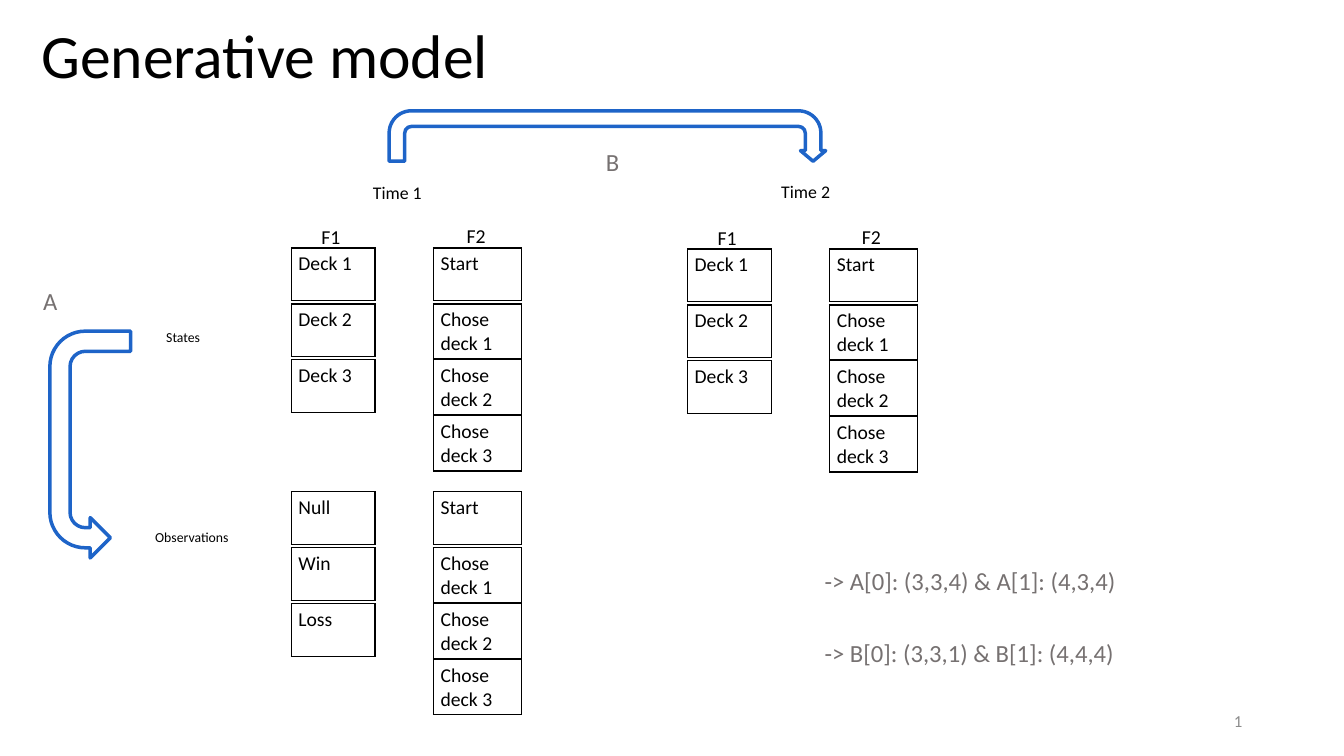
from lxml import etree
from pptx import Presentation
from pptx.dml.color import RGBColor
from pptx.enum import shapes, text
from pptx.oxml import ns
from pptx.util import Inches, Pt

BLACK, GREY, LIGHT, BLUE = "000000", "767171", "8C8C8C", "1E64C8"
DECKS = ["Deck 1", "Deck 2", "Deck 3"]
OUTCOMES = ["Null", "Win", "Loss"]
CHOICES = ["Start", "Chose deck 1", "Chose deck 2", "Chose deck 3"]

# Stacks of boxes: left, top, width, entries
STACKS = [
    (2.89, 2.46, 0.83, DECKS), (4.3, 2.46, 0.87, CHOICES),
    (2.89, 4.88, 0.83, OUTCOMES), (4.3, 4.88, 0.87, CHOICES),
    (6.82, 2.47, 0.83, DECKS), (8.23, 2.47, 0.87, CHOICES),
]
ROW_STEP, ROW_HEIGHT = 0.555, 0.52

# Labels: lines, (left, top, width, height), size, colour
LABELS = [
    (["Observations"], (1.44, 5.16, 1.03, 0.29), 9.8, BLACK),
    (["States"], (1.55, 3.18, 0.92, 0.29), 9.8, BLACK),
    (["Time 1"], (3.6, 1.71, 0.79, 0.34), 12.7, BLACK),
    (["Time 2"], (7.65, 1.7, 0.79, 0.34), 12.7, BLACK),
    (["F1"], (3.09, 2.13, 0.42, 0.37), 14.1, BLACK),
    (["F2"], (4.53, 2.12, 0.42, 0.37), 14.1, BLACK),
    (["F1"], (7.02, 2.14, 0.42, 0.37), 14.1, BLACK),
    (["F2"], (8.45, 2.13, 0.42, 0.37), 14.1, BLACK),
    (["B"], (5.91, 1.35, 0.72, 0.43), 17.6, GREY),
    (["A"], (0.33, 2.73, 0.65, 0.43), 17.6, GREY),
    (["-> A[0]: (3,3,4) & A[1]: (4,3,4)", "-> B[0]: (3,3,1) & B[1]: (4,4,4)"],
     (8.08, 5.51, 3.54, 1.14), 17.6, GREY),
]

# Arrows: (left, top, width, height), rotation, mirrored, adjustments
ARROWS = [
    ((-0.23, 4.01, 2.25, 0.8), 270, True, [0.25, 0.25, 0.25, 0.44, 0.75]),
    ((3.86, 1.1, 4.33, 0.5), 0, False, [0.31, 0.25, 0.21, 0.44, 1]),
]


def rgb(colour):
    return RGBColor.from_string(colour)


def inches(box):
    return [Inches(v) for v in box]


def write(tf, lines, size=14, colour=BLACK, align=text.PP_ALIGN.LEFT,
          anchor=text.MSO_ANCHOR.TOP, spacing=1.0, gap=0):
    tf.word_wrap = True
    tf.vertical_anchor = anchor
    for i, line in enumerate(lines):
        p = tf.paragraphs[0] if i == 0 else tf.add_paragraph()
        p.alignment, p.line_spacing = align, spacing
        p.space_before = Pt(gap if i else 0)
        r = p.add_run()
        r.text = line
        r.font.name, r.font.size = "Calibri", Pt(size)
        r.font.color.rgb = rgb(colour)


def add_border(cell):
    tc_pr = cell._tc.get_or_add_tcPr()
    for side in ("lnL", "lnR", "lnT", "lnB"):
        ln = etree.SubElement(tc_pr, ns.qn(f"a:{side}"), w=str(Pt(1)))
        fill = etree.SubElement(ln, ns.qn("a:solidFill"))
        etree.SubElement(fill, ns.qn("a:srgbClr"), val=BLACK)


def add_box(s, entry, box):
    table = s.shapes.add_table(1, 1, *inches(box)).table
    table.first_row = table.horz_banding = False
    cell = table.cell(0, 0)
    cell.margin_left = cell.margin_right = Inches(0.07)
    cell.margin_top = cell.margin_bottom = Inches(0.04)
    add_border(cell)
    cell.fill.background()
    write(cell.text_frame, [entry])


prs = Presentation()
prs.slide_width, prs.slide_height = Inches(13.33), Inches(7.5)
s = prs.slides.add_slide(prs.slide_layouts[5])

# Title and slide number
title = s.shapes.title
title.left, title.top, title.width, title.height = inches((0.31, 0.02, 9.94, 1.13))
title.text_frame.auto_size = text.MSO_AUTO_SIZE.NONE
write(title.text_frame, ["Generative model"], size=44, spacing=0.9,
      anchor=text.MSO_ANCHOR.MIDDLE)
number = s.shapes.add_textbox(*inches((9.42, 6.95, 3, 0.4)))
write(number.text_frame, ["1"], size=12, colour=LIGHT,
      align=text.PP_ALIGN.RIGHT, anchor=text.MSO_ANCHOR.MIDDLE)

# State and observation boxes
for left, top, width, entries in STACKS:
    for i, entry in enumerate(entries):
        add_box(s, entry, (left, top + i * ROW_STEP, width, ROW_HEIGHT))

# Mapping arrows
for box, rotation, mirrored, adjustments in ARROWS:
    sp = s.shapes.add_shape(shapes.MSO_SHAPE.U_TURN_ARROW, *inches(box))
    sp.rotation = rotation
    sp.shadow.inherit = False
    sp.fill.background()
    sp.line.color.rgb, sp.line.width = rgb(BLUE), Pt(2.5)
    for i, value in enumerate(adjustments):
        sp.adjustments[i] = value
    if mirrored:
        sp._element.spPr.find(ns.qn("a:xfrm")).set("flipH", "1")

# Labels
for lines, box, size, colour in LABELS:
    tb = s.shapes.add_textbox(*inches(box))
    write(tb.text_frame, lines, size=size, colour=colour, spacing=1.2, gap=25.5)

prs.save("out.pptx")
